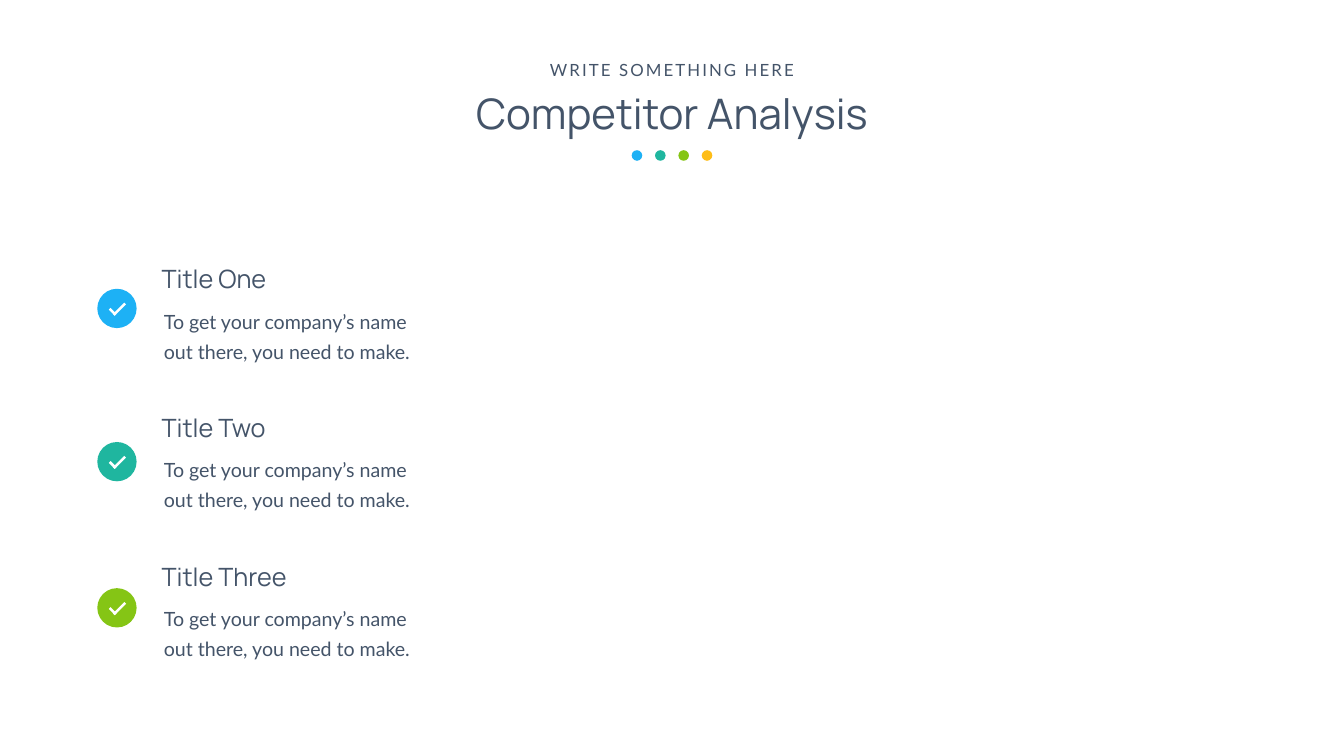
from dataclasses import dataclass

from pptx import Presentation
from pptx.dml.color import RGBColor
from pptx.enum.shapes import MSO_SHAPE
from pptx.enum.text import MSO_ANCHOR, MSO_AUTO_SIZE, PP_ALIGN
from pptx.util import Inches, Pt


@dataclass(frozen=True)
class Theme:
    ink: str = "445469"
    white: str = "FFFFFF"
    accents: tuple = ("1DB1F5", "1FB69F", "85C515", "FEBD17")
    heading_font: str = "Manrope"
    body_font: str = "Lato"
    title_size: int = 60
    kicker_size: int = 24
    item_title_size: int = 36
    item_body_size: int = 28
    item_body_leading: int = 43


THEME = Theme()
WIDTH, HEIGHT = 26.66, 15

# Grid of the checklist: row pitch, and left edges of its columns
ROW_TOP, ROW_PITCH = 5.18, 2.95
ICON_LEFT, TITLE_LEFT, BODY_LEFT = 1.93, 3.11, 3.01
ICON_SIZE = 0.78
BODY_TEXT = "To get your company’s name out there, you need to make."
# Item title and the top of its check icon
ITEMS = [("Title One", 5.73), ("Title Two", 8.77), ("Title Three", 11.67)]


def write_text(box, text, *, font, size, align=PP_ALIGN.LEFT, wrap=True,
               margins=(0.1, 0.05), leading=None, tracking=None):
    """Fill a text box or placeholder with one formatted paragraph."""
    frame = box.text_frame
    frame.word_wrap = wrap
    frame.auto_size = MSO_AUTO_SIZE.SHAPE_TO_FIT_TEXT
    frame.vertical_anchor = MSO_ANCHOR.TOP
    frame.margin_left = frame.margin_right = Inches(margins[0])
    frame.margin_top = frame.margin_bottom = Inches(margins[1])
    paragraph = frame.paragraphs[0]
    paragraph.alignment = align
    if leading:
        paragraph.line_spacing = Pt(leading)
    run = paragraph.add_run()
    run.text = text
    run.font.name = font
    run.font.size = Pt(size)
    run.font.color.rgb = RGBColor.from_string(THEME.ink)
    if tracking:
        run.font._element.set("spc", str(tracking * 100))


def add_text(slide, left, top, width, height, text, **text_format):
    box = slide.shapes.add_textbox(*map(Inches, (left, top, width, height)))
    write_text(box, text, **text_format)


def add_solid(slide, kind, left, top, width, height, color, rotation=0):
    solid = slide.shapes.add_shape(kind, *map(Inches, (left, top, width, height)))
    solid.shadow.inherit = False
    solid.fill.solid()
    solid.fill.fore_color.rgb = RGBColor.from_string(color)
    solid.line.fill.background()
    solid.rotation = rotation


def add_header(slide):
    title = slide.shapes.title
    title.left, title.top = Inches(5.3), Inches(1.68)
    title.width, title.height = Inches(16.06), Inches(1.11)
    write_text(title, "Competitor Analysis", font=THEME.heading_font,
               size=THEME.title_size, align=PP_ALIGN.CENTER)
    add_text(slide, 10.76, 1.13, 5.14, 0.5, "WRITE SOMETHING HERE",
             font=THEME.body_font, size=THEME.kicker_size,
             align=PP_ALIGN.CENTER, wrap=False, tracking=3)

    # Row of dots centred under the title
    dot, pitch = 0.21, 0.463
    first = (WIDTH - dot - pitch * (len(THEME.accents) - 1)) / 2
    for column, color in enumerate(THEME.accents):
        add_solid(slide, MSO_SHAPE.OVAL, first + column * pitch, 2.98,
                  dot, dot, color)


def add_check_icon(slide, left, top, color):
    add_solid(slide, MSO_SHAPE.OVAL, left, top, ICON_SIZE, ICON_SIZE, color)
    # Short and long stroke of the tick
    for dx, dy, length, angle in ((0.22, 0.43, 0.17, 45), (0.28, 0.38, 0.32, 315)):
        add_solid(slide, MSO_SHAPE.RECTANGLE, left + dx, top + dy, length, 0.05,
                  THEME.white, angle)


def add_item(slide, row, title, icon_top, color):
    top = ROW_TOP + row * ROW_PITCH
    add_text(slide, BODY_LEFT, top + 0.71, 5.42, 1.39, BODY_TEXT,
             font=THEME.body_font, size=THEME.item_body_size,
             margins=(0.24, 0.12), leading=THEME.item_body_leading)
    add_text(slide, TITLE_LEFT, top, 4.53, 0.71, title,
             font=THEME.heading_font, size=THEME.item_title_size)
    add_check_icon(slide, ICON_LEFT, icon_top, color)


def main():
    deck = Presentation()
    deck.slide_width, deck.slide_height = Inches(WIDTH), Inches(HEIGHT)
    slide = deck.slides.add_slide(deck.slide_layouts[5])  # Title Only
    add_header(slide)
    for row, ((title, icon_top), color) in enumerate(zip(ITEMS, THEME.accents)):
        add_item(slide, row, title, icon_top, color)
    deck.save("out.pptx")


if __name__ == "__main__":
    main()
